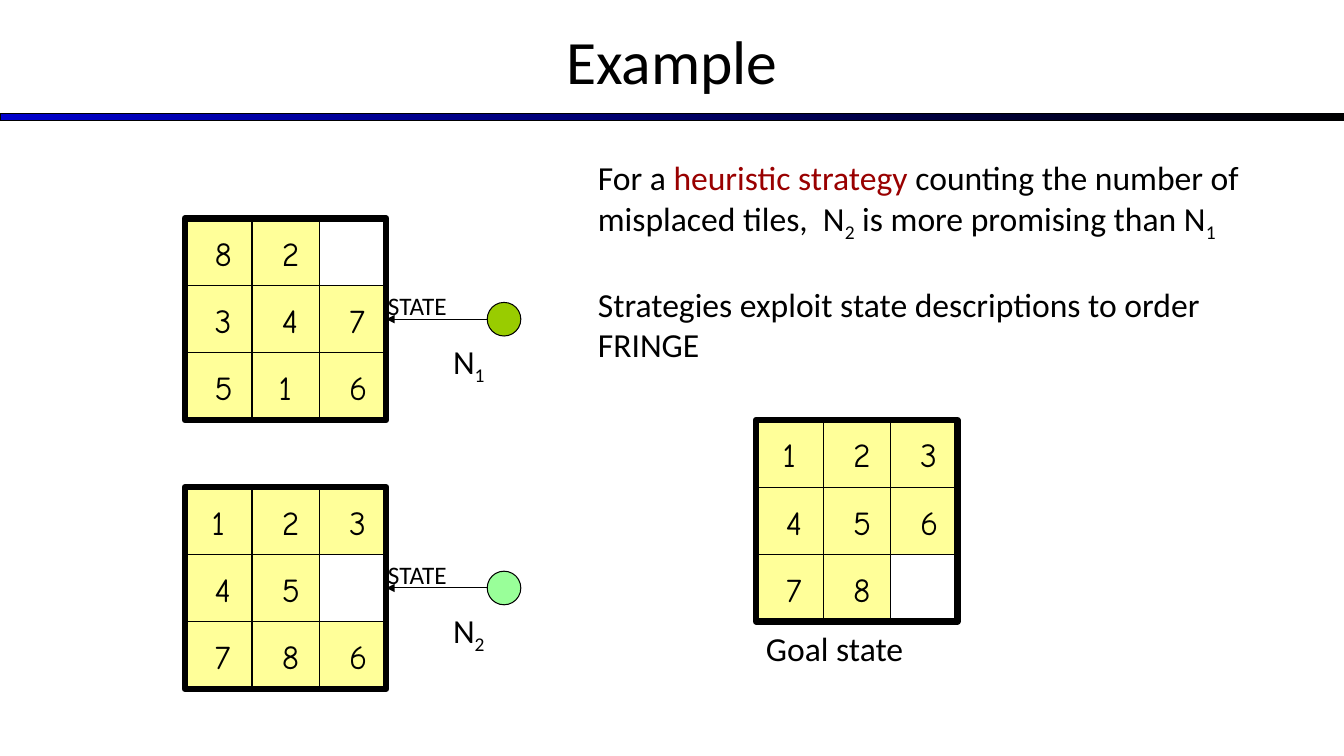
from dataclasses import dataclass

from lxml.etree import SubElement
from pptx import Presentation
from pptx.dml.color import RGBColor
from pptx.enum.shapes import MSO_CONNECTOR, MSO_SHAPE
from pptx.enum.text import MSO_ANCHOR, MSO_AUTO_SIZE, PP_ALIGN
from pptx.oxml.ns import qn
from pptx.util import Pt

PX = 9525  # EMU per px, 96 px to the inch
SLIDE_W, SLIDE_H = 1280, 720
TILE = 64
BOARD = 3 * TILE


@dataclass(frozen=True)
class Theme:
    ink: str = "000000"
    accent: str = "990000"
    rule: str = "0000CC"
    tile: str = "FFFF99"
    node_1: str = "99CC00"
    node_2: str = "99FF99"
    font: str = "Calibri"
    digit_font: str = "Comic Neue"
    title: int = 44
    body: int = 24
    label: int = 18
    thin: float = 0.75
    thick: float = 4.5


THEME = Theme()


def emu(*lengths):
    return [n * PX for n in lengths]


def rgb(color):
    return RGBColor.from_string(color)


def add_run(p, text, size=THEME.body, font=THEME.font, color=THEME.ink, sub=False):
    r = p.add_run()
    r.text = text
    r.font.size = Pt(size)
    r.font.name = font
    r.font.color.rgb = rgb(color)
    if sub:
        r.font._element.set("baseline", "-25000")


def add_box(slide, x, y, w, h, wrap=False):
    tf = slide.shapes.add_textbox(*emu(x, y, w, h)).text_frame
    tf.word_wrap = wrap
    tf.auto_size = MSO_AUTO_SIZE.SHAPE_TO_FIT_TEXT
    return tf


def add_outlined(slide, kind, x, y, w, h, fill=None, width=THEME.thin):
    sp = slide.shapes.add_shape(kind, *emu(x, y, w, h))
    sp.shadow.inherit = False
    if fill:
        sp.fill.solid()
        sp.fill.fore_color.rgb = rgb(fill)
    else:
        sp.fill.background()
    sp.line.color.rgb = rgb(THEME.ink)
    sp.line.width = Pt(width)
    return sp


def add_header(slide, x, y, w, h):
    bar = add_outlined(slide, MSO_SHAPE.RECTANGLE, x, y + 111, w, 7)
    bar.fill.gradient()
    bar.fill.gradient_angle = 0
    for stop, color in zip(bar.fill.gradient_stops, (THEME.rule, THEME.ink)):
        stop.color.rgb = rgb(color)
    tf = add_box(slide, x, y, w, h, wrap=True)
    tf.auto_size = MSO_AUTO_SIZE.NONE
    tf.vertical_anchor = MSO_ANCHOR.MIDDLE
    p = tf.paragraphs[0]
    p.alignment = PP_ALIGN.CENTER
    add_run(p, "Example", THEME.title)


def add_explanation(slide, x, y, w, h):
    tf = add_box(slide, x, y, w, h, wrap=True)
    p = tf.paragraphs[0]
    add_run(p, "For a ")
    add_run(p, "heuristic strategy", color=THEME.accent)
    add_run(p, " counting the number of misplaced tiles,  N")
    add_run(p, "2", sub=True)
    add_run(p, " is more promising than N")
    add_run(p, "1", sub=True)
    p = tf.add_paragraph()
    p.space_before = Pt(29)
    add_run(p, "Strategies exploit state descriptions to order FRINGE")


def add_board(slide, x, y, rows):
    """Draw a 3 by 3 puzzle, where a space marks the empty cell; return its frame."""
    for i, row in enumerate(rows):
        for j, digit in enumerate(row):
            if digit == " ":
                continue
            left, top = x + j * TILE, y + i * TILE
            add_outlined(slide, MSO_SHAPE.RECTANGLE, left, top, TILE, TILE, THEME.tile)
            inset = 16 if digit == "1" else 19
            tf = add_box(slide, left + inset, top + 9, 33, 48)
            add_run(tf.paragraphs[0], digit, font=THEME.digit_font)
    return add_outlined(slide, MSO_SHAPE.RECTANGLE, x, y, BOARD, BOARD, width=THEME.thick)


def add_arrow(slide, x, y, frame):
    """Point from (x, y) to the right side of the frame."""
    line = slide.shapes.add_connector(MSO_CONNECTOR.STRAIGHT, *emu(x, y, x, y))
    line.end_connect(frame, 3)
    line.line.color.rgb = rgb(THEME.ink)
    line.line.width = Pt(THEME.thin)
    SubElement(line.line._get_or_add_ln(), qn("a:tailEnd"), type="triangle")
    SubElement(line._element.spPr, qn("a:effectLst"))


def add_search_node(slide, x, y, rows, number, color):
    """Draw a board with the search node that refers to it as its state."""
    frame = add_board(slide, x, y, rows)
    mid = y + BOARD // 2
    node_x = x + BOARD + 96
    add_outlined(slide, MSO_SHAPE.OVAL, node_x, mid - 16, 32, 32, color)
    add_arrow(slide, node_x, mid, frame)
    tf = add_box(slide, x + BOARD - 8, mid - 32, 91, 38)
    add_run(tf.paragraphs[0], "STATE", THEME.label)
    p = add_box(slide, node_x - 42, mid + 16, 55, 53).paragraphs[0]
    add_run(p, "N")
    add_run(p, number, sub=True)


def add_goal(slide, x, y, rows):
    add_board(slide, x, y, rows)
    tf = add_box(slide, x, y + BOARD + 1, 183, 48)
    add_run(tf.paragraphs[0], "Goal state")


def main():
    prs = Presentation()
    prs.slide_width, prs.slide_height = emu(SLIDE_W, SLIDE_H)
    slide = prs.slides.add_slide(prs.slide_layouts[6])
    add_header(slide, 0, -3, SLIDE_W, 120)
    add_explanation(slide, 560, 145, 680, 255)
    add_search_node(slide, 176, 208, ("82 ", "347", "516"), "1", THEME.node_1)
    add_search_node(slide, 176, 464, ("123", "45 ", "786"), "2", THEME.node_2)
    add_goal(slide, 720, 400, ("123", "456", "78 "))
    prs.save("out.pptx")


if __name__ == "__main__":
    main()
